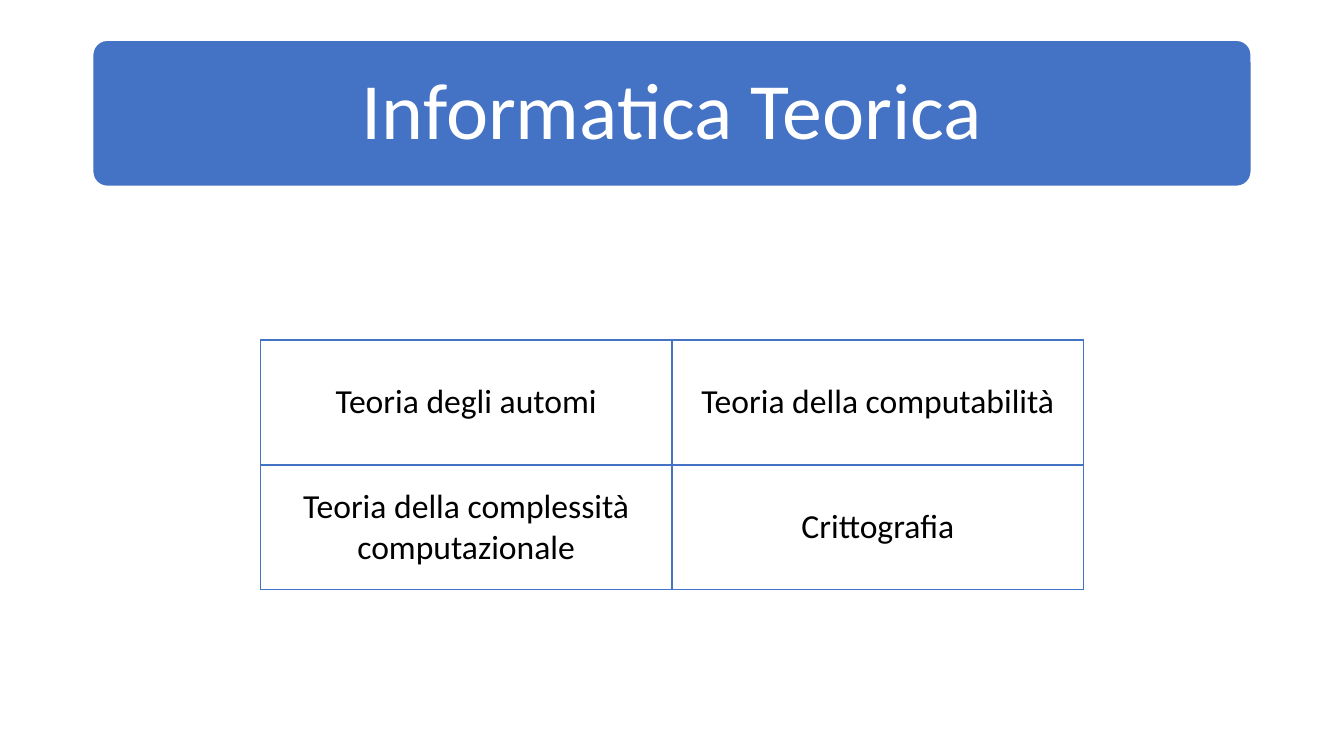
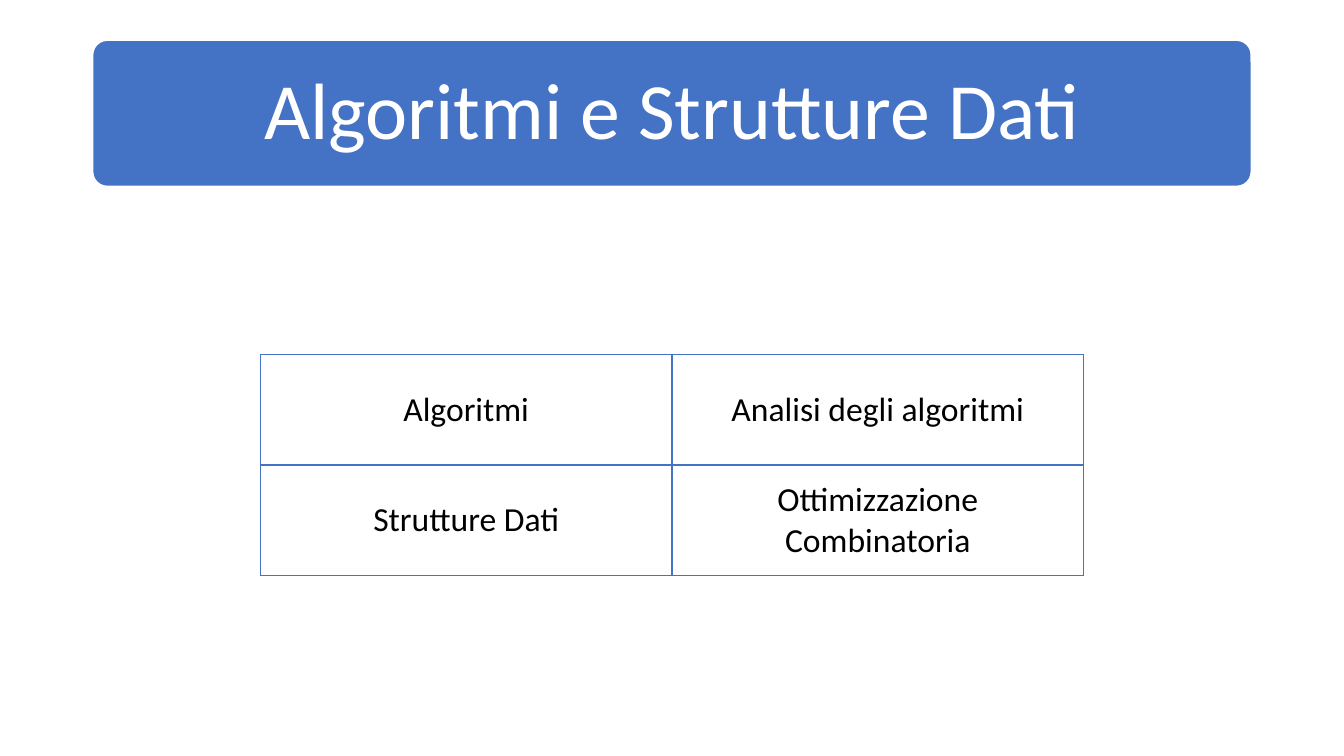
from dataclasses import dataclass

from lxml.etree import SubElement
from pptx import Presentation
from pptx.dml.color import RGBColor
from pptx.enum.shapes import MSO_SHAPE as Shape
from pptx.enum.text import MSO_ANCHOR as Anchor, PP_ALIGN as Align
from pptx.oxml.ns import qn
from pptx.util import Inches, Pt


@dataclass(frozen=True)
class Theme:
    accent: str = "4472C4"
    paper: str = "FFFFFF"
    ink: str = "000000"
    font: str = "Calibri"
    title_size: float = 57
    topic_size: float = 24
    line_width: float = 1


class Deck:
    """Style and current slide; lengths are in a grid of 100 columns by 100 rows."""

    GRID = 100

    def __init__(self, theme):
        self.theme = theme
        self.prs = Presentation()
        self.prs.slide_width, self.prs.slide_height = Inches(13.33), Inches(7.5)
        self.slide = None

    def cols(self, count):
        return round(self.prs.slide_width * count / self.GRID)

    def rows(self, count):
        return round(self.prs.slide_height * count / self.GRID)

    def new_slide(self):
        self.slide = self.prs.slides.add_slide(self.prs.slide_layouts[6])

    def centred_box(self, top, width, height):
        return (self.cols((self.GRID - width) / 2), self.rows(top),
                self.cols(width), self.rows(height))

    def centred_text(self, frame, text, size, color):
        frame.word_wrap = True
        paragraph = frame.paragraphs[0]
        paragraph.text = text
        paragraph.alignment = Align.CENTER
        font = paragraph.font
        font.name, font.size, font.bold = self.theme.font, Pt(size), False
        font.color.rgb = RGBColor.from_string(color)
        return paragraph

    # Rounded title band
    def banner(self, title):
        theme = self.theme
        band = self.slide.shapes.add_shape(
            Shape.ROUNDED_RECTANGLE, *self.centred_box(5.33, 86.2, 19.33))
        band.adjustments[0] = 0.1
        band.shadow.inherit = False
        band.fill.solid()
        band.fill.fore_color.rgb = RGBColor.from_string(theme.accent)
        band.line.color.rgb = RGBColor.from_string(theme.paper)
        band.line.width = Pt(theme.line_width)
        frame = band.text_frame
        frame.vertical_anchor = Anchor.MIDDLE
        frame.margin_left = frame.margin_right = Inches(0.24)
        frame.margin_top = frame.margin_bottom = Inches(0.24)
        heading = self.centred_text(frame, title, theme.title_size, theme.paper)
        heading.line_spacing = 0.9

    # Outlined table of topics, centred around one row of the grid
    def topic_table(self, topics, row_height, middle=61.5, width=61.25):
        height = row_height * len(topics)
        table = self.slide.shapes.add_table(
            len(topics), len(topics[0]),
            *self.centred_box(middle - height / 2, width, height)).table
        table.first_row = table.horz_banding = False
        for r, row in enumerate(topics):
            for c, topic in enumerate(row):
                self.topic_cell(table.cell(r, c), topic)

    def topic_cell(self, cell, topic):
        theme = self.theme
        cell.vertical_anchor = Anchor.MIDDLE
        cell.margin_left = cell.margin_right = Inches(0.1)
        cell.margin_top = cell.margin_bottom = Inches(0.1)
        self.centred_text(cell.text_frame, topic, theme.topic_size, theme.ink)
        # Borders come before the fill in the cell properties
        properties = cell._tc.get_or_add_tcPr()
        for side in ("a:lnL", "a:lnR", "a:lnT", "a:lnB"):
            border = SubElement(properties, qn(side), w=str(Pt(theme.line_width)))
            fill = SubElement(border, qn("a:solidFill"))
            SubElement(fill, qn("a:srgbClr"), val=theme.accent)
        cell.fill.background()


SUBJECTS = [
    ("Informatica Teorica", 16.53, [
        ["Teoria degli automi", "Teoria della computabilità"],
        ["Teoria della complessità computazionale", "Crittografia"],
    ]),
    ("Algoritmi e Strutture Dati", 14.6, [
        ["Algoritmi", "Analisi degli algoritmi"],
        ["Strutture Dati", "Ottimizzazione Combinatoria"],
    ]),
]


def main():
    deck = Deck(Theme())
    for title, row_height, topics in SUBJECTS:
        deck.new_slide()
        deck.banner(title)
        deck.topic_table(topics, row_height)
    deck.prs.save("out.pptx")


if __name__ == "__main__":
    main()
